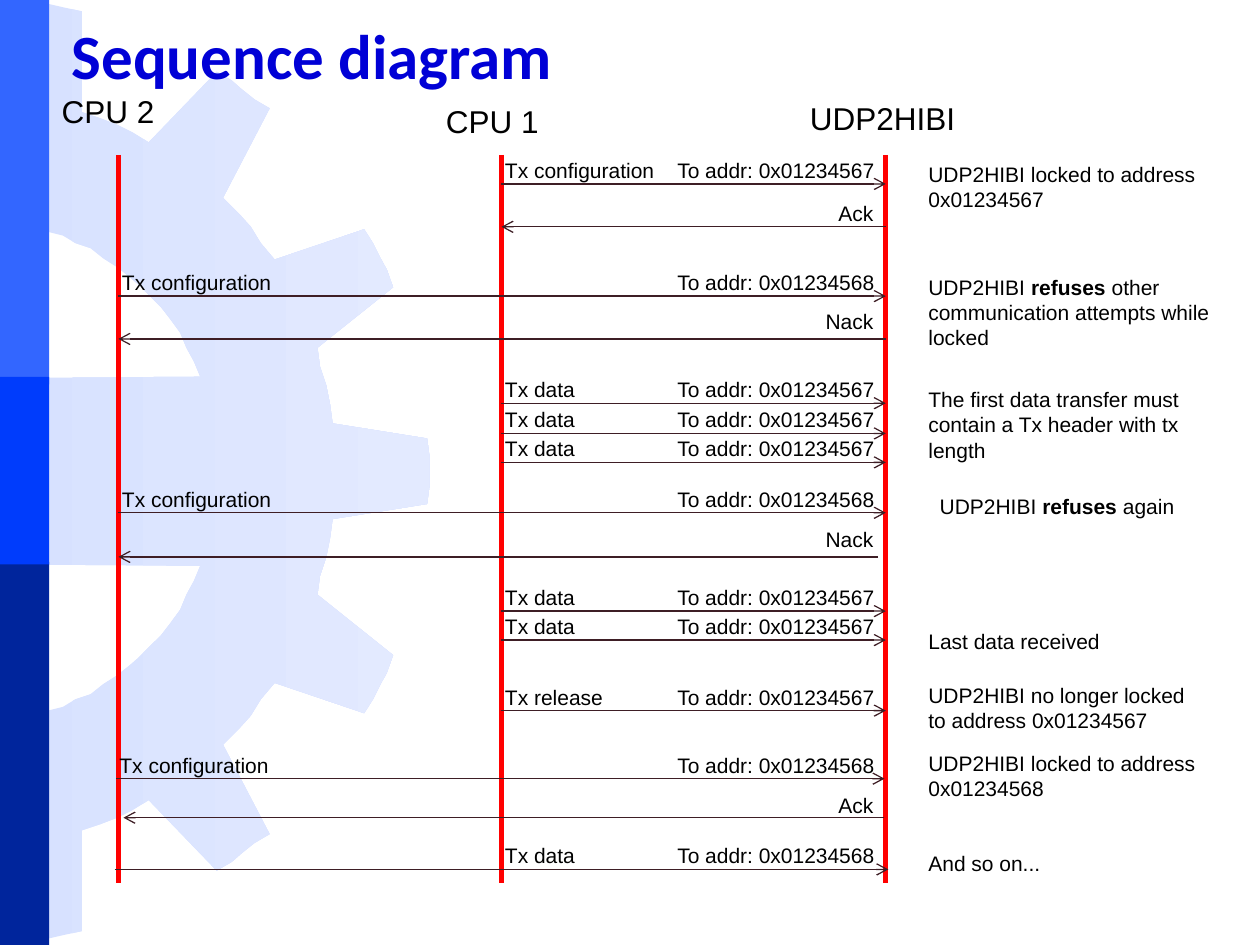
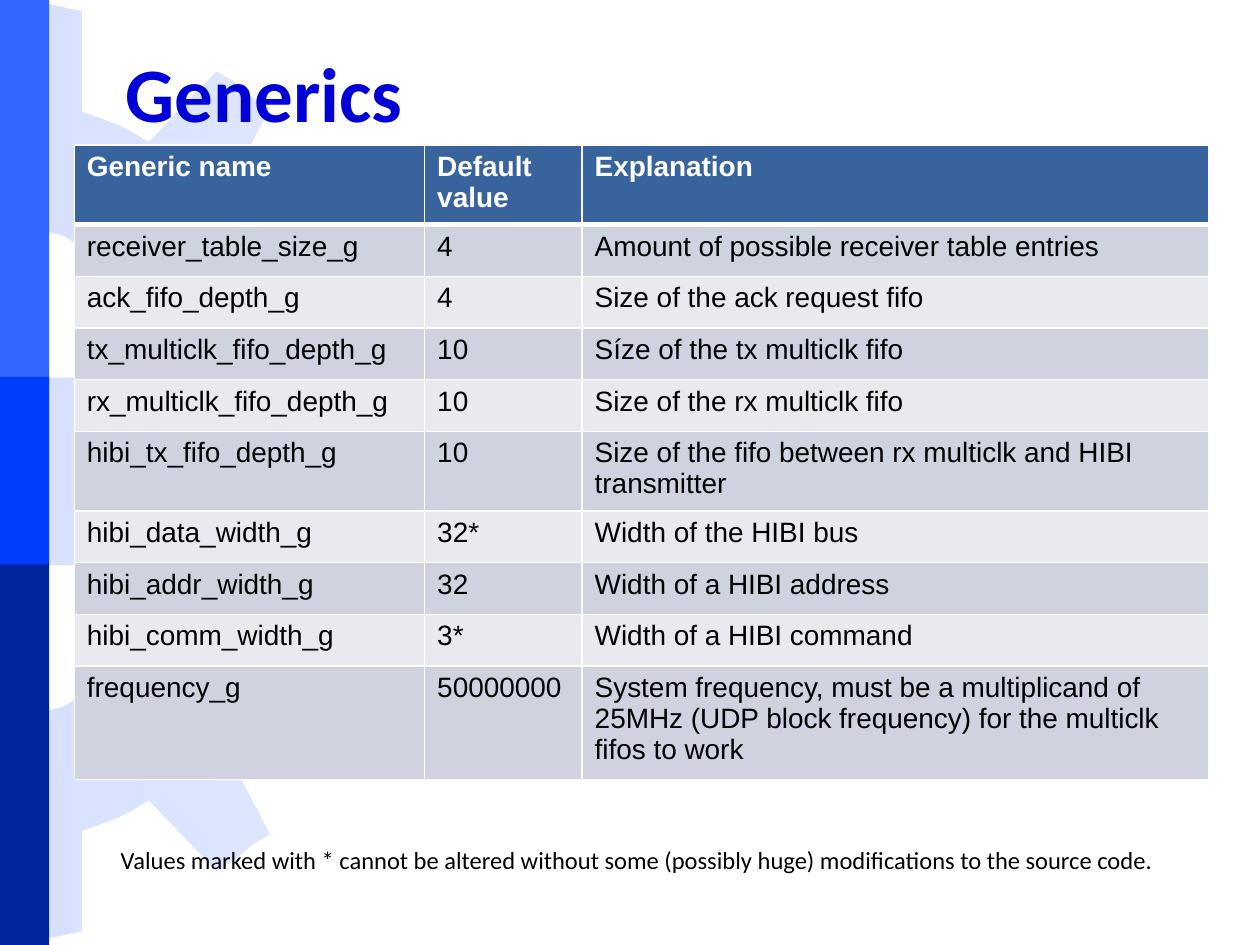
"""Build the sequence diagram and generics slides."""
import dataclasses
import typing

import lxml.etree
import pptx
import pptx.dml.color
import pptx.enum.shapes
import pptx.enum.text
import pptx.oxml.ns
import pptx.presentation
import pptx.shapes.connector
import pptx.slide
import pptx.table
import pptx.util
from pptx.util import Inches

BLACK, WHITE, TITLE_BLUE = "000000", "FFFFFF", "0000D6"
LIFELINE_RED, ARROW_BROWN = "FF0000", "3E1E25"
GEAR_LEFT, GEAR_RIGHT = "D7E1FF", "E3EAFF"
HEADER_FILL, ROW_FILLS = "39639D", ("CED3DF", "E8EAEF")
LEFT, RIGHT = pptx.enum.text.PP_ALIGN.LEFT, pptx.enum.text.PP_ALIGN.RIGHT

GEAR_HEIGHT = 7.48
GEAR_LOWER_HALF = [
    (0, 4.48), (1.59, 4.49), (1.54, 4.61), (1.48, 4.72), (1.43, 4.84), (1.35, 4.95),
    (1.28, 5.04), (1.2, 5.12), (1.1, 5.22), (1.03, 5.28), (0.93, 5.36), (0.82, 5.43),
    (0.72, 5.51), (0.6, 5.55), (0.5, 5.61), (0.38, 5.64), (0.26, 5.68), (0.13, 5.7),
    (0.13, 7.48), (0.27, 7.46), (0.38, 7.45), (0.51, 7.42), (0.65, 7.39), (0.65, 6.59),
    (0.8, 6.54), (0.93, 6.49), (1.05, 6.43), (1.18, 6.35), (1.72, 6.91), (1.84, 6.84),
    (1.92, 6.77), (2.02, 6.69), (2.14, 6.62), (1.77, 5.91), (1.9, 5.78), (1.99, 5.68),
    (2.07, 5.55), (2.18, 5.42), (2.89, 5.66), (2.96, 5.55), (3.02, 5.43), (3.07, 5.34),
    (3.12, 5.2), (2.52, 4.72), (2.54, 4.57), (2.59, 4.42), (2.62, 4.27), (2.64, 4.12),
    (3.39, 4), (3.41, 3.85), (3.41, 3.74),
]


@dataclasses.dataclass(frozen=True)
class Band:
    """A coloured block of the left edge."""
    top: float
    height: float
    color: str


@dataclasses.dataclass(frozen=True)
class TextStyle:
    """The look of a text box."""
    size: float
    font: str = "Arial"
    color: str = BLACK
    bold: bool = False


@dataclasses.dataclass(frozen=True)
class Lifeline:
    """A participant with the place of its name."""
    name: str
    x: float
    name_left: float
    name_top: float
    name_width: float


@dataclasses.dataclass(frozen=True)
class Message:
    """An arrow with a label at its start and a detail by the last lifeline."""
    start: float
    end: float
    y: float
    label: str
    detail: str
    label_x: typing.Optional[float] = None


@dataclasses.dataclass(frozen=True)
class Reply:
    """An arrow back from the last lifeline."""
    end: float
    y: float
    text: str
    rise: float
    start: float = 7.03


@dataclasses.dataclass(frozen=True)
class Note:
    """A remark right of the diagram, bold between bars."""
    top: float
    text: str
    lines: int = 1
    left: float = 7.27
    width: float = 2.34


BANDS = [Band(0, 3.05, "3366FF"), Band(4.46, 3.04, "00259C"), Band(2.99, 1.49, "003CFC")]
HEADING, LABEL = TextStyle(18), TextStyle(12)
FOOTNOTE = TextStyle(14, "Calibri")

CPU2, CPU1, UDP = 0.94, 3.98, 7.03
LIFELINES = [
    Lifeline("CPU 2", CPU2, 0.39, 0.68, 1.02),
    Lifeline("CPU 1", CPU1, 3.44, 0.76, 1.02),
    Lifeline("UDP2HIBI", UDP, 6.33, 0.74, 1.48),
]
FIRST_ADDRESS, SECOND_ADDRESS = "To addr: 0x01234567", "To addr: 0x01234568"
MESSAGES = [
    Message(CPU1, UDP, 1.46, "Tx configuration", FIRST_ADDRESS),
    Message(CPU2, UDP, 2.35, "Tx configuration", SECOND_ADDRESS),
    *(Message(CPU1, UDP, y, "Tx data", FIRST_ADDRESS) for y in (3.2, 3.44, 3.67, 4.85, 5.08)),
    Message(CPU2, UDP, 4.07, "Tx configuration", SECOND_ADDRESS),
    Message(CPU1, UDP, 5.64, "Tx release", FIRST_ADDRESS),
    Message(0.92, 7.02, 6.18, "Tx configuration", SECOND_ADDRESS),
    Message(0.91, 7.05, 6.9, "Tx data", SECOND_ADDRESS, CPU1),
]
REPLIES = [
    Reply(CPU1, 1.8, "Ack", 0.26),
    Reply(CPU2, 2.69, "Nack", 0.29),
    Reply(CPU2, 4.42, "Nack", 0.29, 6.97),
    Reply(0.98, 6.49, "Ack", 0.25, 7.02),
]
NOTES = [
    Note(1.23, "UDP2HIBI locked to address 0x01234567", 2),
    Note(2.13, "UDP2HIBI |refuses |other communication attempts while locked", 3, width=2.5),
    Note(3.02, "The first data transfer must contain a Tx header with tx length", 3, width=2.5),
    Note(3.87, "UDP2HIBI |refuses |again", left=7.36, width=2.5),
    Note(4.94, "Last data received"),
    Note(5.37, "UDP2HIBI no longer locked to address 0x01234567", 2),
    Note(5.91, "UDP2HIBI locked to address 0x01234568", 2),
    Note(6.7, "And so on..."),
]

GENERICS = [
    ("Generic name", "Default value", "Explanation"),
    ("receiver_table_size_g", "4", "Amount of possible receiver table entries"),
    ("ack_fifo_depth_g", "4", "Size of the ack request fifo"),
    ("tx_multiclk_fifo_depth_g", "10", "Síze of the tx multiclk fifo"),
    ("rx_multiclk_fifo_depth_g", "10", "Size of the rx multiclk fifo"),
    ("hibi_tx_fifo_depth_g", "10", "Size of the fifo between rx multiclk and HIBI transmitter"),
    ("hibi_data_width_g", "32*", "Width of the HIBI bus"),
    ("hibi_addr_width_g", "32", "Width of a HIBI address"),
    ("hibi_comm_width_g", "3*", "Width of a HIBI command"),
    ("frequency_g", "50000000", "System frequency, must be a multiplicand of 25MHz "
     "(UDP block frequency) for the multiclk fifos to work"),
]
COLUMN_WIDTHS = (2.78, 1.25, 4.97)
ROW_HEIGHT = 0.41


def rgb(color: str) -> pptx.dml.color.RGBColor:
    """Turn a hex string into a colour."""
    return pptx.dml.color.RGBColor.from_string(color)


def style_font(font: typing.Any, style: TextStyle) -> None:
    """Apply a text style to a font."""
    font.name, font.size, font.bold = style.font, pptx.util.Pt(style.size), style.bold
    font.color.rgb = rgb(style.color)


def add_text(slide: pptx.slide.Slide, left: float, top: float, width: float, height: float,
             text: str, style: TextStyle, alignment: typing.Any = LEFT) -> typing.Any:
    """Add a wrapped text box whose parts between bars are bold."""
    shape = slide.shapes.add_textbox(Inches(left), Inches(top), Inches(width), Inches(height))
    text_frame = shape.text_frame
    text_frame.word_wrap = True
    paragraph = text_frame.paragraphs[0]
    paragraph.alignment = alignment
    for index, part in enumerate(text.split("|")):
        run = paragraph.add_run()
        run.text = part
        style_font(run.font, style)
        run.font.bold = style.bold or index % 2 == 1
    return text_frame


def add_line(slide: pptx.slide.Slide, start: tuple[float, float], end: tuple[float, float],
             color: str, width: float, arrow: bool = False) -> None:
    """Add a straight line, with an arrowhead at its end if asked."""
    connector = slide.shapes.add_connector(
        pptx.enum.shapes.MSO_CONNECTOR.STRAIGHT, *map(Inches, start + end))
    connector.line.color.rgb = rgb(color)
    connector.line.width = pptx.util.Pt(width)
    if arrow:
        lxml.etree.SubElement(connector.line._get_or_add_ln(),
                              pptx.oxml.ns.qn("a:tailEnd"), type="arrow")
    lxml.etree.SubElement(connector._element.spPr, pptx.oxml.ns.qn("a:effectLst"))


def add_gear(slide: pptx.slide.Slide) -> None:
    """Draw the half gear by mirroring its lower half."""
    upper_half = [(x, GEAR_HEIGHT - y) for x, y in reversed(GEAR_LOWER_HALF)]
    start, *points = [(Inches(x), Inches(y)) for x, y in GEAR_LOWER_HALF + upper_half]
    builder = slide.shapes.build_freeform(*start)
    builder.add_line_segments(points)
    gear = builder.convert_to_shape()
    gear.shadow.inherit = False
    gear.line.fill.background()
    gear.fill.gradient()
    gear.fill.gradient_angle = 0
    for stop, color, position in zip(gear.fill.gradient_stops, (GEAR_LEFT, GEAR_RIGHT), (0, 1)):
        stop.color.rgb = rgb(color)
        stop.position = position


def add_slide(presentation: pptx.presentation.Presentation, title: str, size: float,
              left: float, top: float, width: float, height: float) -> pptx.slide.Slide:
    """Add a slide with the gear, the left bands and a title."""
    slide = presentation.slides.add_slide(presentation.slide_layouts[6])
    add_gear(slide)
    for band in BANDS:
        shape = slide.shapes.add_shape(pptx.enum.shapes.MSO_SHAPE.RECTANGLE, Inches(0),
                                       Inches(band.top), Inches(0.39), Inches(band.height))
        shape.shadow.inherit = False
        shape.fill.solid()
        shape.fill.fore_color.rgb = rgb(band.color)
        shape.line.fill.background()
    text_frame = add_text(slide, left, top, width, height, title,
                          TextStyle(size, "Calibri", TITLE_BLUE, True))
    text_frame.vertical_anchor = pptx.enum.text.MSO_ANCHOR.BOTTOM
    text_frame.paragraphs[0].line_spacing = 0.9
    return slide


def add_message(slide: pptx.slide.Slide, message: Message) -> None:
    """Draw a message arrow with its two labels."""
    add_line(slide, (message.start, message.y), (message.end, message.y), ARROW_BROWN, 0.75, True)
    label_x = message.start if message.label_x is None else message.label_x
    top = message.y - 0.26
    add_text(slide, label_x - 0.07, top, 1.64, 0.3, message.label, LABEL)
    add_text(slide, 5.16, top, 1.88, 0.3, message.detail, LABEL, RIGHT)


def add_reply(slide: pptx.slide.Slide, reply: Reply) -> None:
    """Draw a reply arrow with its label."""
    add_line(slide, (reply.start, reply.y), (reply.end, reply.y), ARROW_BROWN, 0.75, True)
    add_text(slide, 6.33, reply.y - reply.rise, 0.7, 0.3, reply.text, LABEL, RIGHT)


def set_borders(cell: pptx.table._Cell, top: float, bottom: float) -> None:
    """Give a cell white borders with these top and bottom widths."""
    properties = cell._tc.get_or_add_tcPr()
    for side, width in {"L": 1, "R": 1, "T": top, "B": bottom}.items():
        line = lxml.etree.SubElement(properties, pptx.oxml.ns.qn(f"a:ln{side}"),
                                     w=str(pptx.util.Pt(width)))
        fill = lxml.etree.SubElement(line, pptx.oxml.ns.qn("a:solidFill"))
        lxml.etree.SubElement(fill, pptx.oxml.ns.qn("a:srgbClr"), val=WHITE)


def add_generics_table(slide: pptx.slide.Slide) -> None:
    """Add the table of generics with banded rows."""
    table = slide.shapes.add_table(
        len(GENERICS), len(COLUMN_WIDTHS), Inches(0.59), Inches(1.15),
        Inches(sum(COLUMN_WIDTHS)), Inches(ROW_HEIGHT * len(GENERICS))).table
    for column, width in zip(table.columns, COLUMN_WIDTHS):
        column.width = Inches(width)
    for row_index, texts in enumerate(GENERICS):
        header = row_index == 0
        fill = HEADER_FILL if header else ROW_FILLS[(row_index - 1) % 2]
        style = TextStyle(16, color=WHITE if header else BLACK, bold=header)
        for column_index, text in enumerate(texts):
            cell = table.cell(row_index, column_index)
            set_borders(cell, 3 if row_index == 1 else 1, 3 if header else 1)
            cell.fill.solid()
            cell.fill.fore_color.rgb = rgb(fill)
            cell.text_frame.text = text
            style_font(cell.text_frame.paragraphs[0].runs[0].font, style)


def main() -> None:
    """Build and save both slides."""
    presentation = pptx.Presentation()
    presentation.slide_width, presentation.slide_height = Inches(10), Inches(7.5)

    sequence = add_slide(presentation, "Sequence diagram", 36, 0.47, 0.14, 9, 0.65)
    for lifeline in LIFELINES:
        add_line(sequence, (lifeline.x, 1.23), (lifeline.x, 7.01), LIFELINE_RED, 3)
        add_text(sequence, lifeline.name_left, lifeline.name_top, lifeline.name_width, 0.4,
                 lifeline.name, HEADING)
    for message in MESSAGES:
        add_message(sequence, message)
    for reply in REPLIES:
        add_reply(sequence, reply)
    for note in NOTES:
        add_text(sequence, note.left, note.top, note.width, 0.1 + 0.2 * note.lines,
                 note.text, LABEL)

    generics = add_slide(presentation, "Generics", 44, 0.9, 0.21, 8.66, 0.94)
    add_generics_table(generics)
    add_text(generics, 0.86, 6.66, 8.75, 0.34, "Values marked with * cannot be altered without "
             "some (possibly huge) modifications to the source code.", FOOTNOTE)
    presentation.save("out.pptx")


if __name__ == "__main__":
    main()
